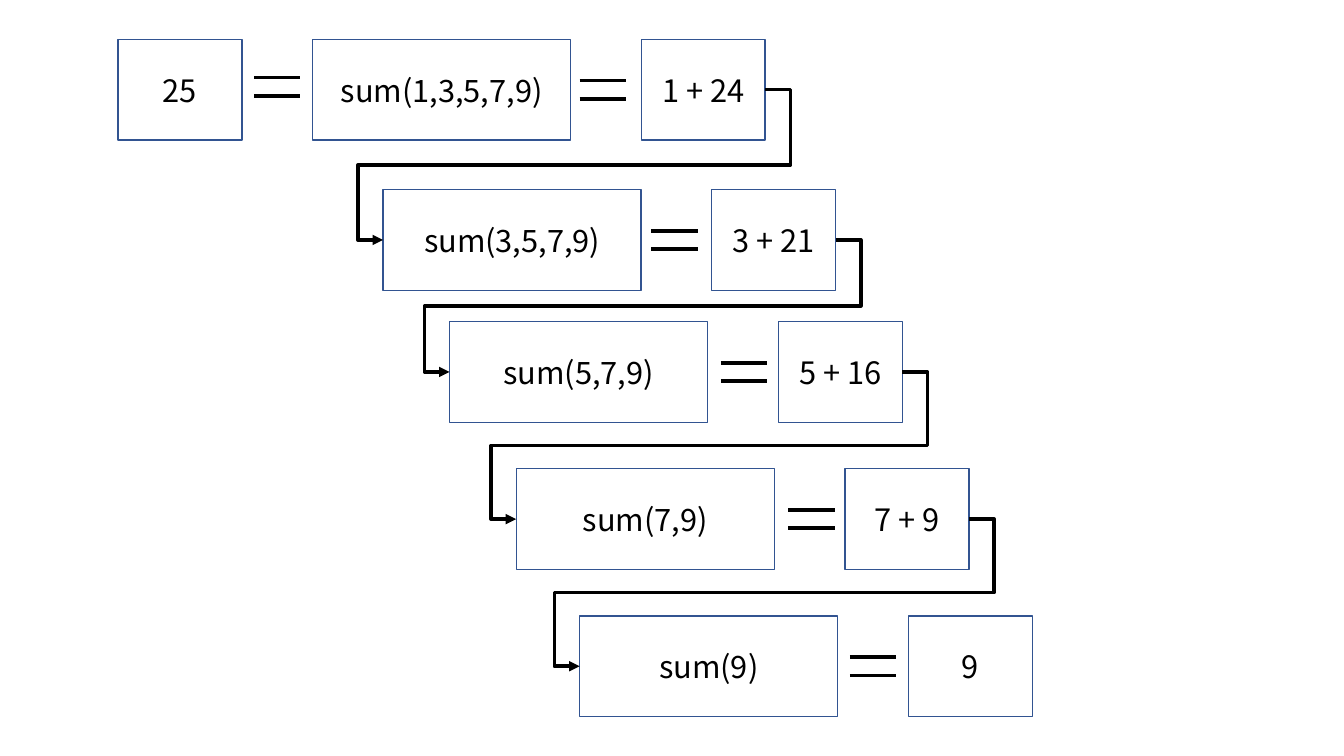
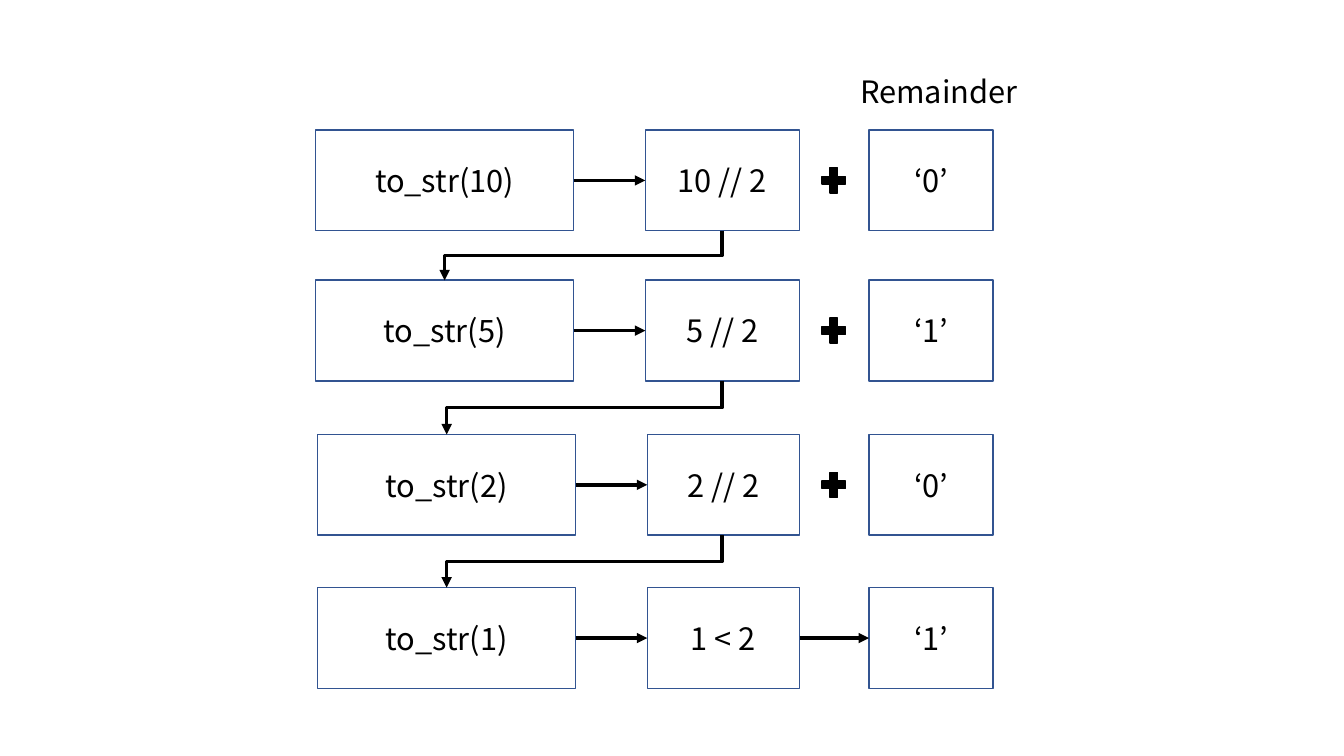
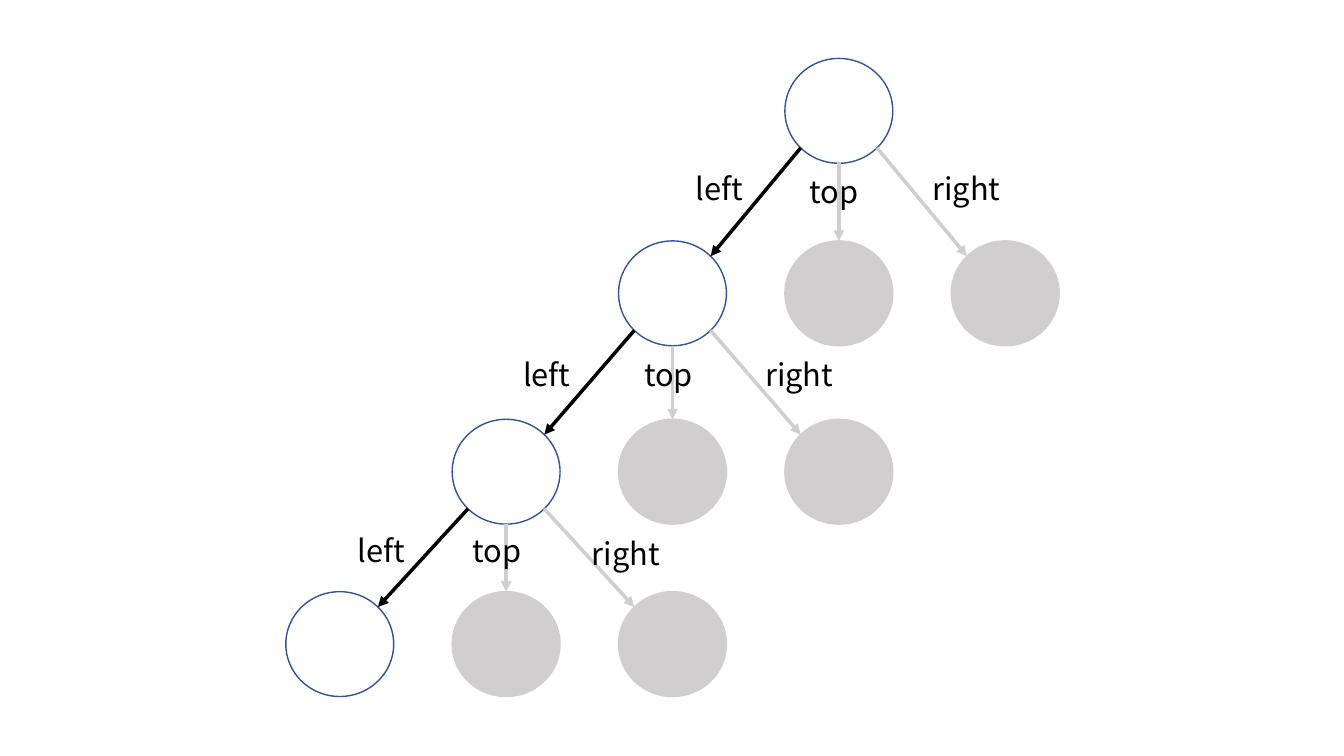
from dataclasses import dataclass
from itertools import pairwise
from math import sqrt

from lxml import etree
from pptx import Presentation
from pptx.dml.color import RGBColor
from pptx.enum.shapes import MSO_CONNECTOR, MSO_SHAPE
from pptx.enum.text import MSO_ANCHOR, MSO_AUTO_SIZE, PP_ALIGN
from pptx.oxml.ns import qn
from pptx.util import Inches, Pt

RECTANGLE, OVAL, PLUS = MSO_SHAPE.RECTANGLE, MSO_SHAPE.OVAL, MSO_SHAPE.MATH_PLUS
STRAIGHT, ELBOW = MSO_CONNECTOR.STRAIGHT, MSO_CONNECTOR.ELBOW
LEFT, CENTER = PP_ALIGN.LEFT, PP_ALIGN.CENTER
MIDDLE = MSO_ANCHOR.MIDDLE
GROW = MSO_AUTO_SIZE.SHAPE_TO_FIT_TEXT


@dataclass(frozen=True)
class Theme:
    """Colours, type and line widths shared by the slides."""
    white: RGBColor = RGBColor(0xFF, 0xFF, 0xFF)
    black: RGBColor = RGBColor(0, 0, 0)
    outline: RGBColor = RGBColor(0x32, 0x54, 0x91)
    muted: RGBColor = RGBColor(0xD0, 0xCE, 0xCE)
    font: str = "Noto Sans CJK KR"
    size: Pt = Pt(22)
    border: Pt = Pt(1)
    stroke: Pt = Pt(2.5)


THEME = Theme()
CALL_WIDTH, VALUE_WIDTH, BOX_HEIGHT = 2.56, 1.23, 1.0
NODE_WIDTH, NODE_HEIGHT = 1.07, 1.04


def write(frame, text, align):
    """Put one styled run into a text frame."""
    paragraph = frame.paragraphs[0]
    paragraph.alignment = align
    run = paragraph.add_run()
    run.text = text
    run.font.name = THEME.font
    run.font.size = THEME.size
    run.font.color.rgb = THEME.black


def add_figure(slide, kind, left, top, width, height, fill, line):
    """Add a flat, outlined preset shape."""
    figure = slide.shapes.add_shape(
        kind, Inches(left), Inches(top), Inches(width), Inches(height))
    figure.shadow.inherit = False
    figure.fill.solid()
    figure.fill.fore_color.rgb = fill
    figure.line.color.rgb = line
    figure.line.width = THEME.border
    return figure


def add_box(slide, text, left, top, width):
    """Add a white box with centred text."""
    box = add_figure(slide, RECTANGLE, left, top, width, BOX_HEIGHT,
                     THEME.white, THEME.outline)
    box.text_frame.vertical_anchor = MIDDLE
    write(box.text_frame, text, CENTER)


def add_label(slide, text, left, top, width, height, align=LEFT):
    """Add a free-standing caption."""
    label = slide.shapes.add_textbox(
        Inches(left), Inches(top), Inches(width), Inches(height))
    label.text_frame.word_wrap = True
    label.text_frame.auto_size = GROW
    write(label.text_frame, text, align)


def add_line(slide, start, end, color=THEME.black, arrow=True, kind=STRAIGHT):
    """Add a flat connector, with an arrowhead at its end if wanted."""
    line = slide.shapes.add_connector(
        kind, *(Inches(length) for length in (*start, *end)))
    line.line.color.rgb = color
    line.line.width = THEME.stroke
    properties = line._element.spPr
    if arrow:
        etree.SubElement(properties.find(qn("a:ln")), qn("a:tailEnd"), type="triangle")
    etree.SubElement(properties, qn("a:effectLst"))
    return line


def add_return_arrow(slide, start, end, overhang=0.25):
    """Add a five-part elbow that loops out, back and into the next row."""
    arrow = add_line(slide, start, end, kind=ELBOW)
    geometry = arrow._element.spPr.find(qn("a:prstGeom"))
    geometry.set("prst", "bentConnector5")
    guides = geometry.find(qn("a:avLst"))
    if guides is None:
        guides = etree.SubElement(geometry, qn("a:avLst"))
    share = overhang / abs(end[0] - start[0])
    for number, position in enumerate((-share, 0.5, 1 + share), 1):
        etree.SubElement(guides, qn("a:gd"), name=f"adj{number}",
                         fmla=f"val {round(position * 100000)}")


def add_drop_arrow(slide, start, end):
    """Add an elbow that leaves downwards and enters the target from above."""
    run, drop = start[0] - end[0], end[1] - start[1]
    left = (start[0] + end[0] - drop) / 2
    top = (start[1] + end[1] - run) / 2
    arrow = add_line(slide, (left, top), (left + drop, top + run), kind=ELBOW)
    arrow.rotation = 90 if hasattr(arrow, "rotation") else 0
    arrow._element.spPr.find(qn("a:xfrm")).set("rot", str(90 * 60000))


def add_equals(slide, left, middle):
    """Add an equals sign made of two strokes."""
    for y in (middle - 0.09, middle + 0.09):
        add_line(slide, (left, y), (left + 0.46, y), arrow=False)


def build_sum_slide(slide):
    """Show the recursive sum unfolding row by row."""
    numbers = (1, 3, 5, 7, 9)
    rows = ((3.1, 0.39, 5.75), (3.8, 1.88, 6.46), (4.46, 3.19, 7.15),
            (5.12, 4.65, 7.82), (5.75, 6.11, 8.43))
    value_offset = 3.26
    for index, (left, top, equals_left) in enumerate(rows):
        first, *rest = numbers[index:]
        call = ",".join(str(number) for number in numbers[index:])
        value = f"{first} + {sum(rest)}" if rest else str(first)
        add_box(slide, f"sum({call})", left, top, CALL_WIDTH)
        add_box(slide, value, left + value_offset, top, VALUE_WIDTH)
        add_equals(slide, equals_left, top + BOX_HEIGHT / 2)
    for (left, top, _), (next_left, next_top, _) in pairwise(rows):
        add_return_arrow(slide,
                         (left + value_offset + VALUE_WIDTH, top + BOX_HEIGHT / 2),
                         (next_left, next_top + BOX_HEIGHT / 2))
    add_box(slide, str(sum(numbers)), 1.17, 0.39, VALUE_WIDTH)
    add_equals(slide, 2.52, 0.86)


def build_to_str_slide(slide):
    """Show the base conversion with its remainders."""
    rows = (("to_str(10)", "10 // 2", "‘0’", 3.13, 1.29),
            ("to_str(5)", "5 // 2", "‘1’", 3.13, 2.78),
            ("to_str(2)", "2 // 2", "‘0’", 3.15, 4.31),
            ("to_str(1)", "1 < 2", "‘1’", 3.15, 5.83))
    step_right, remainder_left, drop_x = 7.93, 8.62, 7.16
    add_label(slide, "Remainder", 8.42, 0.67, 1.78, 0.47, CENTER)
    for call, step, remainder, left, top in rows:
        step_left, middle = left + 3.27, top + BOX_HEIGHT / 2
        add_box(slide, call, left, top, CALL_WIDTH)
        add_box(slide, step, step_left, top, step_right - step_left)
        add_box(slide, remainder, remainder_left, top, VALUE_WIDTH)
        add_line(slide, (left + CALL_WIDTH, middle), (step_left, middle))
        if top == rows[-1][-1]:
            add_line(slide, (step_right, middle), (remainder_left, middle))
        else:
            add_figure(slide, PLUS, 8.11, middle - 0.17, 0.32, 0.34,
                       THEME.black, THEME.black)
    for (*_, top), (*_, next_left, next_top) in pairwise(rows):
        add_drop_arrow(slide, (drop_x, top + BOX_HEIGHT),
                       (next_left + CALL_WIDTH / 2, next_top))


def add_node(slide, center, active):
    """Add a tree node, greyed out when it is not visited."""
    fill, line = ((THEME.white, THEME.outline) if active
                  else (THEME.muted, THEME.muted))
    add_figure(slide, OVAL, center[0] - NODE_WIDTH / 2, center[1] - NODE_HEIGHT / 2,
               NODE_WIDTH, NODE_HEIGHT, fill, line)


def add_branch(slide, parent, child, side, color):
    """Join two nodes; side is -1, 0 or 1 for left, straight down or right."""
    reach = 1 / sqrt(2) if side else 1
    dx, dy = side * reach * NODE_WIDTH / 2, reach * NODE_HEIGHT / 2
    add_line(slide, (parent[0] + dx, parent[1] + dy),
             (child[0] - dx, child[1] - dy), color)


def build_tree_slide(slide):
    """Show a search tree in which only left branches are followed."""
    root_x, pitch = 8.32, 1.65
    levels = (1.1, 2.91, 4.68, 6.39)
    branches = (("left", -1, 0.74), ("top", 0, 0.74), ("right", 1, 1.03))
    label_places = (((6.8, 1.63), (7.93, 1.66), (9.15, 1.63)),
                    ((5.09, 3.48), (6.29, 3.48), (7.49, 3.48)),
                    ((3.45, 5.23), (4.59, 5.23), (5.77, 5.26)))
    add_node(slide, (root_x, levels[0]), True)
    for depth, (level, next_level) in enumerate(pairwise(levels)):
        parent = (root_x - depth * pitch, level)
        for (name, side, width), place in zip(branches, label_places[depth]):
            child = (parent[0] + side * pitch, next_level)
            followed = name == "left"
            add_node(slide, child, followed)
            add_branch(slide, parent, child, side,
                       THEME.black if followed else THEME.muted)
            add_label(slide, name, *place, width, 0.5)


def main():
    """Build the three slides and save them."""
    deck = Presentation()
    deck.slide_width, deck.slide_height = Inches(13.33), Inches(7.5)
    blank = deck.slide_layouts[6]
    for build in (build_sum_slide, build_to_str_slide, build_tree_slide):
        build(deck.slides.add_slide(blank))
    deck.save("out.pptx")


main()
